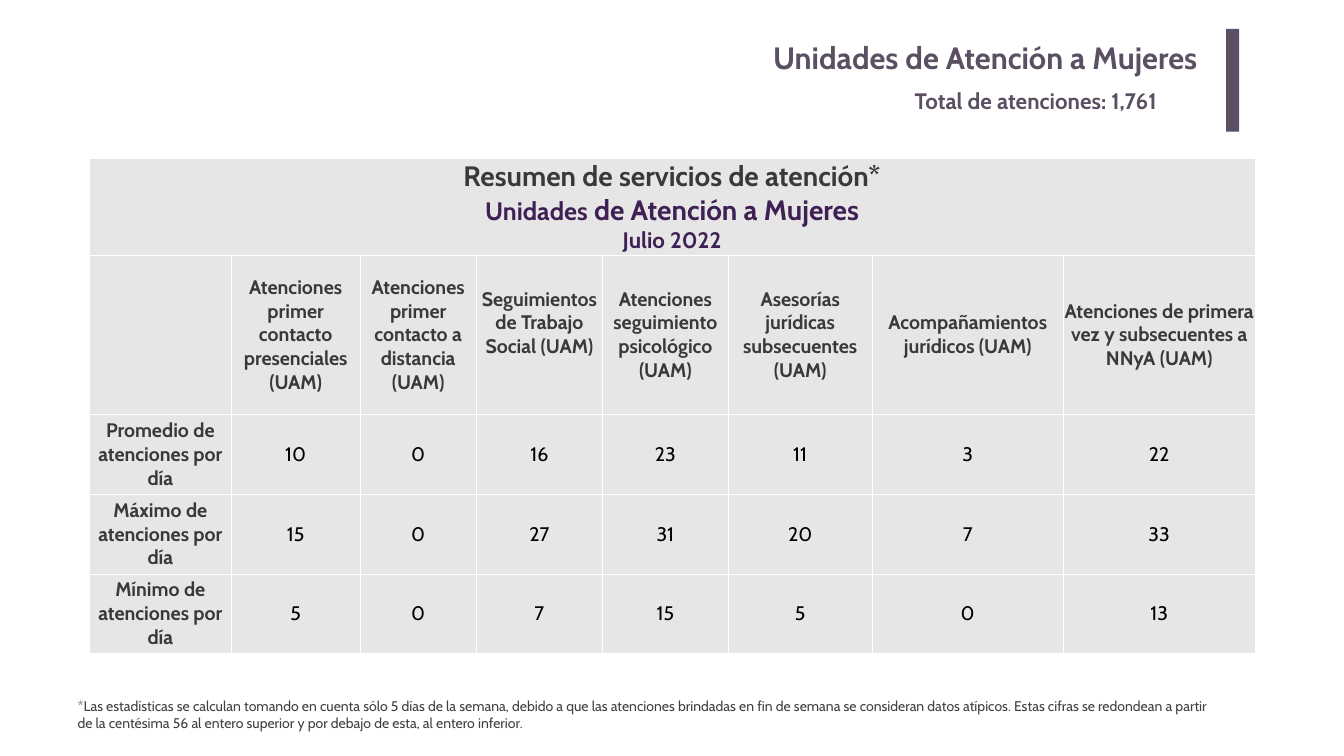
"""Build the slide summarising the July 2022 services of the Unidades de Atención a Mujeres."""
from lxml.etree import SubElement
from pptx import Presentation
from pptx.dml.color import RGBColor
from pptx.enum.shapes import MSO_SHAPE
from pptx.enum.text import MSO_ANCHOR, PP_ALIGN
from pptx.oxml.ns import qn
from pptx.util import Cm, Pt

PURPLE_GRAY = RGBColor(0x5B, 0x4F, 0x63)
DEEP_PURPLE = RGBColor(0x3E, 0x20, 0x54)
CHARCOAL = RGBColor(0x3B, 0x38, 0x38)
NOTE_GRAY = RGBColor(0x40, 0x40, 0x40)
CELL_GRAY = RGBColor(0xE7, 0xE6, 0xE6)
BLACK = RGBColor(0, 0, 0)
WHITE = RGBColor(0xFF, 0xFF, 0xFF)


def add_run(paragraph, text, size, color, bold=True):
    run = paragraph.add_run()
    run.text = text
    run.font.name = "Cabin"
    run.font.size = Pt(size)
    run.font.bold = bold
    run.font.color.rgb = color


def style_cell(cell):
    cell.margin_left = cell.margin_right = cell.margin_top = cell.margin_bottom = 0
    cell.vertical_anchor = MSO_ANCHOR.MIDDLE
    properties = cell._tc.get_or_add_tcPr()
    for edge in ("a:lnL", "a:lnR", "a:lnT", "a:lnB"):
        border = SubElement(properties, qn(edge), w=str(Pt(1)))
        SubElement(SubElement(border, qn("a:solidFill")), qn("a:srgbClr"), val=str(WHITE))
    cell.fill.solid()
    cell.fill.fore_color.rgb = CELL_GRAY


prs = Presentation()
prs.slide_width, prs.slide_height = Cm(67.74), Cm(38.1)
slide = prs.slides.add_slide(prs.slide_layouts[6])

services = [
    "Atenciones primer contacto presenciales (UAM)",
    "Atenciones primer contacto a distancia (UAM)",
    "Seguimientos de Trabajo Social (UAM)",
    "Atenciones seguimiento psicológico (UAM)",
    "Asesorías jurídicas subsecuentes (UAM)",
    "Acompañamientos jurídicos (UAM)",
    "Atenciones de primera vez y subsecuentes a NNyA (UAM)",
]
daily_figures = [
    ("Promedio de atenciones por día", 10, 0, 16, 23, 11, 3, 22),
    ("Máximo de atenciones por día", 15, 0, 27, 31, 20, 7, 33),
    ("Mínimo de atenciones por día", 5, 0, 7, 15, 5, 0, 13),
]
widths = [7.16, 6.48, 5.87, 6.35, 6.35, 7.24, 9.65, 9.65]
heights = [4.85, 8.05, 4.01, 4.01, 4.01]

summary = slide.shapes.add_table(
    len(heights), len(widths), Cm(4.5), Cm(8), Cm(sum(widths)), Cm(sum(heights))
).table
summary.first_row = summary.horz_banding = False
for column, width in zip(summary.columns, widths):
    column.width = Cm(width)
for row, height in zip(summary.rows, heights):
    row.height = Cm(height)
for cell in summary.iter_cells():
    style_cell(cell)

heading = summary.cell(0, 0)
heading.merge(summary.cell(0, len(widths) - 1))
heading_lines = [
    [("Resumen de servicios de atención*", 40, CHARCOAL)],
    [("Unidades", 36, DEEP_PURPLE), (" de Atención a Mujeres", 40, DEEP_PURPLE)],
    [("Julio 2022", 32, DEEP_PURPLE)],
]
for index, line in enumerate(heading_lines):
    frame = heading.text_frame
    paragraph = frame.add_paragraph() if index else frame.paragraphs[0]
    paragraph.alignment = PP_ALIGN.CENTER
    for text, size, color in line:
        add_run(paragraph, text, size, color)

for row_index, entries in enumerate([("", *services), *daily_figures], start=1):
    for column_index, entry in enumerate(entries):
        if entry == "":
            continue
        is_label = isinstance(entry, str)
        paragraph = summary.cell(row_index, column_index).text_frame.paragraphs[0]
        paragraph.alignment = PP_ALIGN.CENTER
        add_run(paragraph, str(entry), 28, CHARCOAL if is_label else BLACK, is_label)
summary.cell(1, 3).margin_bottom = Cm(1.2)

footnote = (
    "*Las estadísticas se calculan tomando en cuenta sólo 5 días de la semana, debido a que "
    "las atenciones brindadas en fin de semana se consideran datos atípicos. Estas cifras se "
    "redondean a partir de la centésima 56 al entero superior y por debajo de esta, al entero "
    "inferior."
)
texts = [
    (footnote, 3.66, 35.03, 57.84, 1.96, 20, NOTE_GRAY, False, PP_ALIGN.LEFT, 0.25),
    ("Unidades de Atención a Mujeres", 9.3, 1.7, 51.56, 2.59, 44, PURPLE_GRAY, True,
     PP_ALIGN.RIGHT, 0.5),
    ("Total de atenciones: 1,761", 45.85, 4.29, 15.16, 1.63, 32, PURPLE_GRAY, True,
     PP_ALIGN.LEFT, 0.25),
]
for text, left, top, width, height, size, color, bold, alignment, inset in texts:
    frame = slide.shapes.add_textbox(Cm(left), Cm(top), Cm(width), Cm(height)).text_frame
    frame.word_wrap = True
    frame.margin_left = frame.margin_right = Cm(inset)
    frame.margin_top = frame.margin_bottom = Cm(inset / 2)
    frame.paragraphs[0].alignment = alignment
    add_run(frame.paragraphs[0], text, size, color, bold)

accent_bar = slide.shapes.add_shape(MSO_SHAPE.RECTANGLE, Cm(61.8), Cm(1.45), Cm(0.66), Cm(5.18))
accent_bar.shadow.inherit = False
accent_bar.fill.solid()
accent_bar.fill.fore_color.rgb = PURPLE_GRAY
accent_bar.line.fill.background()

prs.save("out.pptx")
